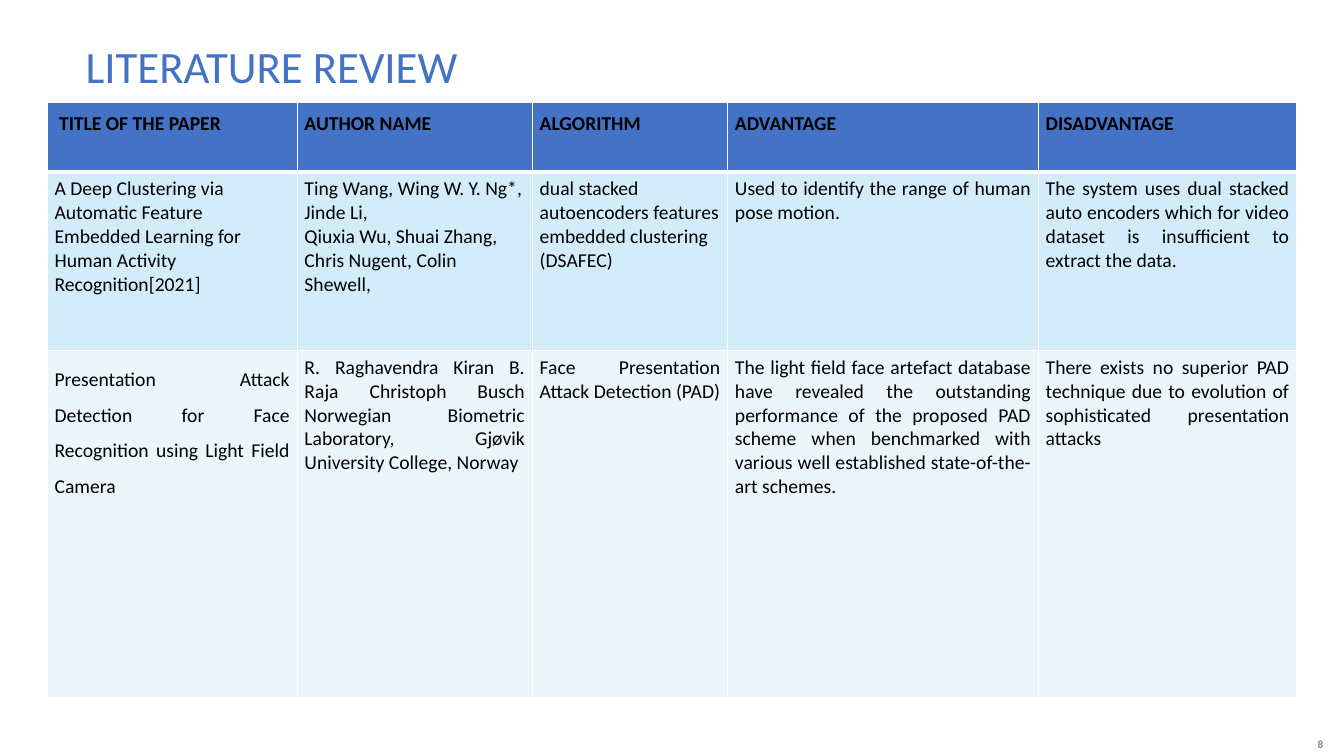
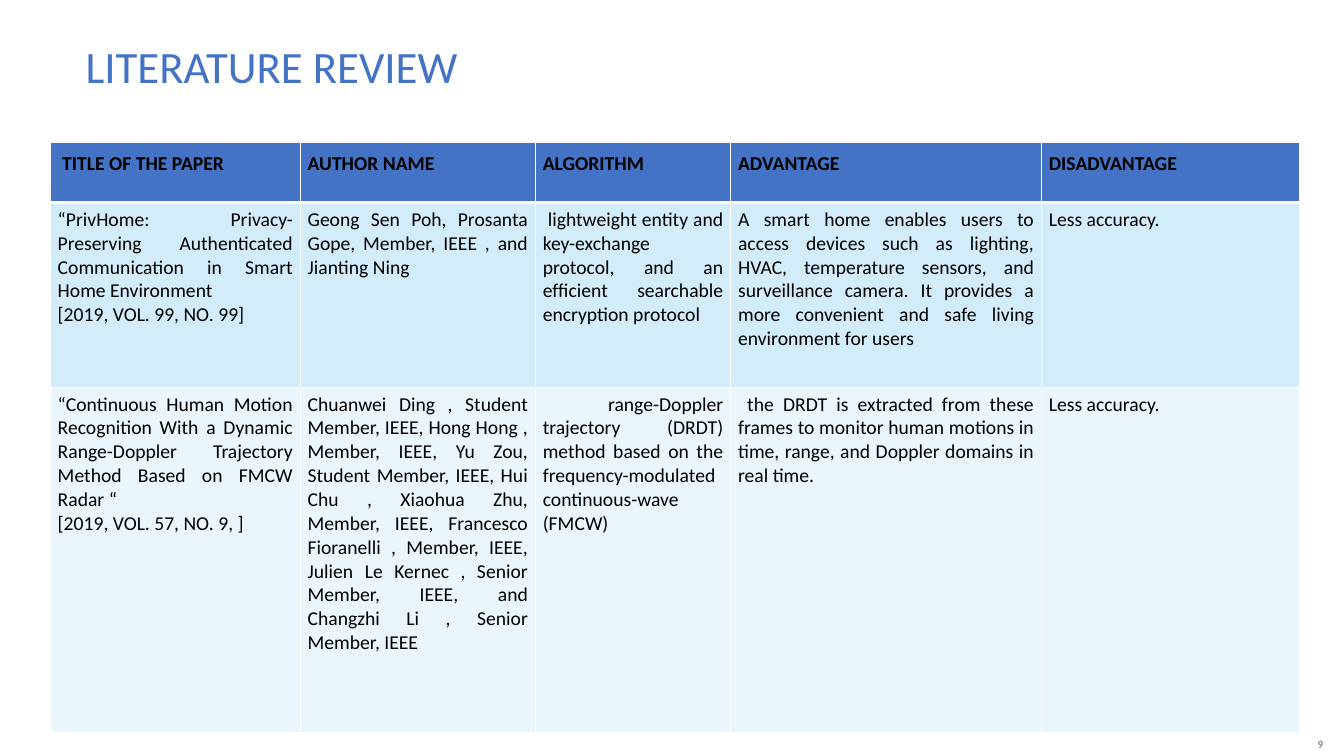
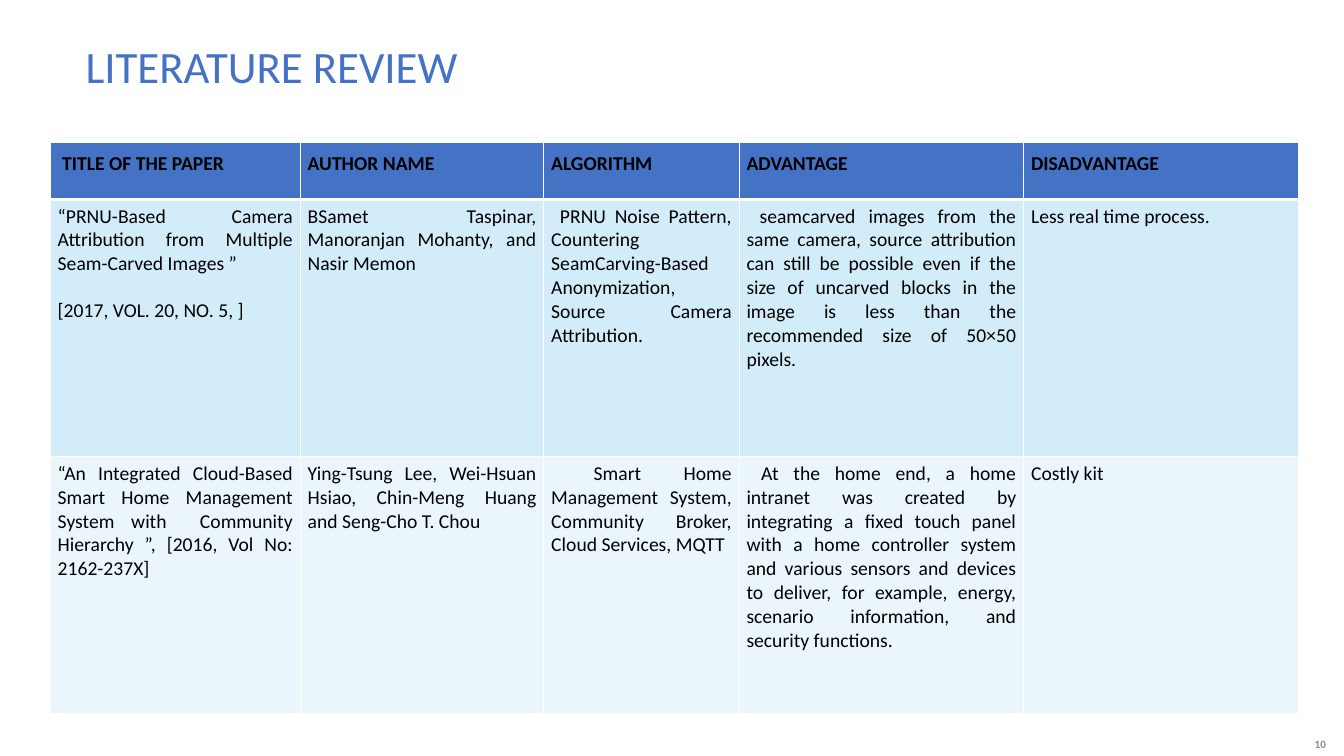
"""Build three literature review slides, each with a table comparing two papers."""
from lxml import etree
from pptx import Presentation
from pptx import util as u
from pptx.dml.color import RGBColor
from pptx.enum import text
from pptx.oxml.ns import qn

PX = 9525
BLUE = RGBColor(0x44, 0x72, 0xC4)
SKY = RGBColor(0xD2, 0xEC, 0xF9)
PALE = RGBColor(0xEA, 0xF6, 0xFC)
BLACK = RGBColor(0x00, 0x00, 0x00)
WHITE = RGBColor(0xFF, 0xFF, 0xFF)
GREY = RGBColor(0x89, 0x8C, 0x8A)
FONT = "Calibri"
ROW_FILLS = [BLUE, SKY, PALE]
THIN, THICK = u.Pt(0.96), u.Pt(3)

HEADERS = [" TITLE OF THE PAPER", "AUTHOR NAME", "ALGORITHM", "ADVANTAGE", "DISADVANTAGE"]
REVIEWS = [
    {
        "number": 8, "left": 45, "top": 98,
        "columns": [238, 224, 186, 296, 246], "rows": [66, 170, 330],
        "papers": [
            [
                "A Deep Clustering via Automatic Feature\nEmbedded Learning for Human Activity\n"
                "Recognition[2021]",
                "Ting Wang, Wing W. Y. Ng*, Jinde Li,\n"
                "Qiuxia Wu, Shuai Zhang, Chris Nugent, Colin Shewell,",
                "dual stacked\nautoencoders features embedded clustering (DSAFEC)",
                "Used to identify the range of human pose motion.",
                "The system uses dual stacked auto encoders which for video dataset is "
                "insufficient to extract the data.",
            ],
            [
                "Presentation Attack Detection for Face Recognition using Light Field Camera",
                "R. Raghavendra Kiran B. Raja Christoph Busch Norwegian Biometric Laboratory, "
                "Gjøvik University College, Norway",
                "Face Presentation Attack Detection (PAD)",
                "The light field face artefact database have revealed the outstanding performance "
                "of the proposed PAD scheme when benchmarked with various well established "
                "state-of-the-art schemes.",
                "There exists no superior PAD technique due to evolution of sophisticated "
                "presentation attacks",
            ],
        ],
    },
    {
        "number": 9, "left": 48, "top": 136,
        "columns": [238, 224, 186, 296, 246], "rows": [57, 176, 329],
        "papers": [
            [
                "“PrivHome: Privacy-Preserving Authenticated Communication in Smart Home "
                "Environment\n[2019, VOL. 99, NO. 99]",
                "Geong Sen Poh, Prosanta Gope, Member, IEEE , and Jianting Ning",
                " lightweight entity and key-exchange protocol, and an efﬁcient searchable "
                "encryption protocol",
                "A smart home enables users to access devices such as lighting, HVAC, temperature "
                "sensors, and surveillance camera. It provides a more convenient and safe living "
                "environment for users",
                "Less accuracy.",
            ],
            [
                "“Continuous Human Motion Recognition With a Dynamic Range-Doppler Trajectory "
                "Method Based on FMCW Radar “\n[2019, VOL. 57, NO. 9, ]",
                "Chuanwei Ding , Student Member, IEEE, Hong Hong , Member, IEEE, Yu Zou, Student "
                "Member, IEEE, Hui Chu , Xiaohua Zhu, Member, IEEE, Francesco Fioranelli , Member, "
                "IEEE, Julien Le Kernec , Senior Member, IEEE, and Changzhi Li , Senior Member, IEEE",
                " range-Doppler trajectory (DRDT) method based on the frequency-modulated "
                "continuous-wave (FMCW)",
                " the DRDT is extracted from these frames to monitor human motions in time, range, "
                "and Doppler domains in real time.",
                "Less accuracy.",
            ],
        ],
    },
    {
        "number": 10, "left": 48, "top": 136,
        "columns": [238, 232, 186, 271, 262], "rows": [54, 245, 245],
        "papers": [
            [
                "“PRNU-Based Camera Attribution from Multiple Seam-Carved Images ”\n"
                "[2017, VOL. 20, NO. 5, ]",
                "BSamet Taspinar, Manoranjan Mohanty, and Nasir Memon",
                " PRNU Noise Pattern, Countering SeamCarving-Based Anonymization, Source Camera "
                "Attribution.",
                " seamcarved images from the same camera, source attribution can still be possible "
                "even if the size of uncarved blocks in the image is less than the recommended size "
                "of 50×50 pixels.",
                "Less real time process.",
            ],
            [
                "“An Integrated Cloud-Based Smart Home Management System with  Community "
                "Hierarchy ”, [2016, Vol No: 2162-237X]",
                "Ying-Tsung Lee, Wei-Hsuan Hsiao, Chin-Meng Huang and Seng-Cho T. Chou",
                " Smart Home Management System, Community Broker, Cloud Services, MQTT",
                " At the home end, a home intranet was created by integrating a fixed touch panel "
                "with a home controller system and various sensors and devices to deliver, for "
                "example, energy, scenario information, and security functions.",
                "Costly kit",
            ],
        ],
    },
]


def add_line(page, words, left, top, width, height, size, color, bold=False):
    """Add a vertically centred one-line text box and return its frame."""
    box = page.shapes.add_textbox(left * PX, top * PX, width * PX, height * PX)
    frame = box.text_frame
    frame.word_wrap = True
    frame.vertical_anchor = text.MSO_ANCHOR.MIDDLE
    frame.text = words
    font = frame.paragraphs[0].runs[0].font
    font.name, font.size, font.bold = FONT, u.Pt(size), bold
    font.color.rgb = color
    return frame


def set_borders(cell, row):
    """Draw white cell borders with a thick rule under the header row."""
    top = THICK if row == 1 else THIN
    bottom = THICK if row == 0 else THIN
    properties = cell._tc.get_or_add_tcPr()
    for side, width in (("L", THIN), ("R", THIN), ("T", top), ("B", bottom)):
        line = etree.SubElement(properties, qn(f"a:ln{side}"), w=str(width))
        solid = etree.SubElement(line, qn("a:solidFill"))
        etree.SubElement(solid, qn("a:srgbClr"), val=str(WHITE))


deck = Presentation()
deck.slide_width, deck.slide_height = 1280 * PX, 720 * PX
tables = []

for review in REVIEWS:
    page = deck.slides.add_slide(deck.slide_layouts[6])

    footer = add_line(page, str(review["number"]), 1235, 698, 45, 21, 8, GREY, bold=True)
    footer.margin_left = footer.margin_right = footer.margin_top = footer.margin_bottom = 0
    footer.paragraphs[0].alignment = text.PP_ALIGN.CENTER

    title = add_line(page, "LITERATURE REVIEW", 72, 37, 814, 72, 32, BLUE)
    title.paragraphs[0].line_spacing = u.Pt(22)

    columns, rows = review["columns"], review["rows"]
    table = page.shapes.add_table(
        len(rows), len(columns), review["left"] * PX, review["top"] * PX,
        sum(columns) * PX, sum(rows) * PX).table
    table.horz_banding = False
    tables.append(table)
    for column, width in zip(table.columns, columns):
        column.width = width * PX
    for row, height in zip(table.rows, rows):
        row.height = height * PX

    for r, entries in enumerate([HEADERS] + review["papers"]):
        for c, entry in enumerate(entries):
            cell = table.cell(r, c)
            set_borders(cell, r)
            cell.fill.solid()
            cell.fill.fore_color.rgb = ROW_FILLS[r]
            cell.margin_left = cell.margin_right = 7 * PX
            cell.text_frame.text = entry
            for para in cell.text_frame.paragraphs:
                para.alignment = text.PP_ALIGN.JUSTIFY
                para.line_spacing = 1.15 if r == 0 else 1.0
                for span in para.runs:
                    span.font.name, span.font.size = FONT, u.Pt(14)
                    span.font.bold = r == 0
                    span.font.color.rgb = BLACK

clustering, _, seam_carving = tables
for c in range(3):
    for para in clustering.cell(1, c).text_frame.paragraphs:
        para.alignment = text.PP_ALIGN.LEFT
clustering.cell(2, 0).text_frame.paragraphs[0].line_spacing = 1.5
seam_carving.cell(1, 0).text_frame.paragraphs[1].space_before = u.Pt(16)

deck.save("out.pptx")
